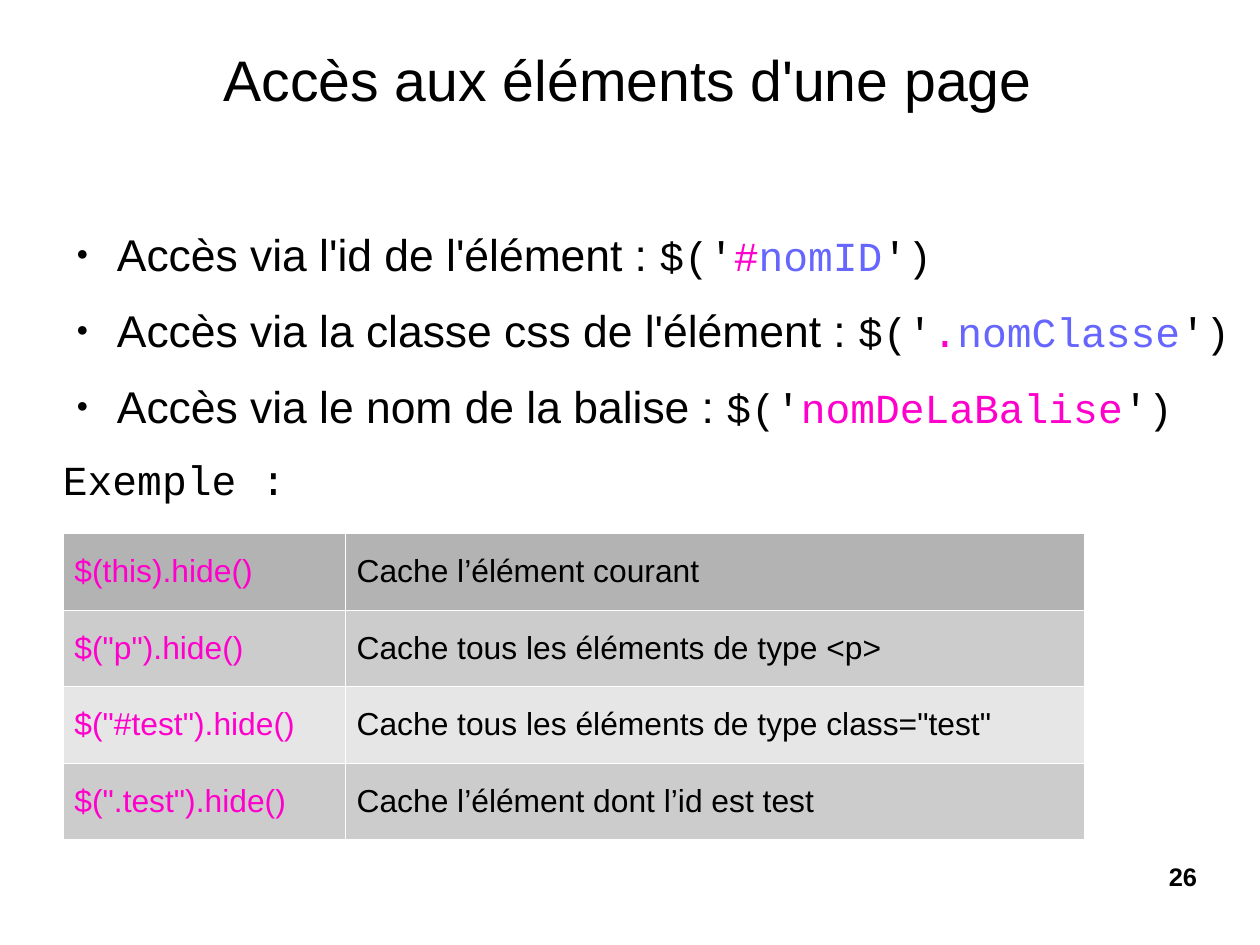
from lxml import etree
from pptx import Presentation
from pptx import util as u
from pptx.dml.color import RGBColor
from pptx.enum import text
from pptx.oxml import ns

BLACK = RGBColor(0, 0, 0)
PINK = RGBColor(0xFF, 0x00, 0xCC)
BLUE = RGBColor(0x66, 0x66, 0xFF)
HEADER = RGBColor(0xB3, 0xB3, 0xB3)
DARK_BAND = RGBColor(0xCC, 0xCC, 0xCC)
LIGHT_BAND = RGBColor(0xE6, 0xE6, 0xE6)
SANS, MONO = "Arial", "Courier New"

# Each selector: description, then the coloured parts inside $('...')
SELECTORS = [
    ("Accès via l'id de l'élément\u00a0: ", [("#", PINK), ("nomID", BLUE)]),
    ("Accès via la classe css de l'élément\u00a0: ", [(".", PINK), ("nomClasse", BLUE)]),
    ("Accès via le nom de la balise\u00a0: ", [("nomDeLaBalise", PINK)]),
]
EXAMPLES = [
    ("$(this).hide()", "Cache l’élément courant"),
    ('$("p").hide()', "Cache tous les éléments de type <p>"),
    ('$("#test").hide()', 'Cache tous les éléments de type class="test"'),
    ('$(".test").hide()', "Cache l’élément dont l’id est test"),
]


def set_font(font, name, size, color=BLACK, bold=False):
    font.name, font.size, font.bold = name, u.Pt(size), bold
    font.color.rgb = color


def no_margins(tf):
    tf.margin_left = tf.margin_top = tf.margin_right = tf.margin_bottom = 0
    tf.word_wrap = True


def add_run(p, words, name, size, color=BLACK):
    r = p.add_run()
    r.text = words
    set_font(r.font, name, size, color)


def sub(parent, tag, **attrs):
    return etree.SubElement(parent, ns.qn(tag), attrs)


def set_bullet(p):
    pPr = p._p.get_or_add_pPr()
    pPr.set("marL", str(u.Cm(1.2)))
    pPr.set("indent", str(u.Cm(-0.9)))
    sub(sub(pPr, "a:buClr"), "a:srgbClr", val=str(BLACK))
    sub(pPr, "a:buSzPct", val="45000")
    sub(pPr, "a:buFont", typeface=SANS)
    sub(pPr, "a:buChar", char="●")


def set_borders(cell):
    tcPr = cell._tc.get_or_add_tcPr()
    for side in ("a:lnL", "a:lnR", "a:lnT", "a:lnB"):
        ln = sub(tcPr, side, w="762")
        sub(sub(ln, "a:solidFill"), "a:srgbClr", val="FFFFFF")


def add_title(s, x, y, w, h):
    sp = s.shapes.title
    sp.left, sp.top, sp.width, sp.height = x, y, w, h
    tf = sp.text_frame
    tf.text = "Accès aux éléments d'une page"
    no_margins(tf)
    tf.auto_size = text.MSO_AUTO_SIZE.NONE
    tf.vertical_anchor = text.MSO_ANCHOR.MIDDLE
    p = tf.paragraphs[0]
    p.alignment = text.PP_ALIGN.CENTER
    p._p.get_or_add_pPr().set("marL", str(u.Cm(1.2)))
    set_font(p.font, SANS, 36)


def add_selectors(s, x, y, w, h):
    tf = s.shapes.add_textbox(x, y, w, h).text_frame
    no_margins(tf)
    p = tf.paragraphs[0]
    for description, parts in SELECTORS:
        p.space_after = u.Pt(14.1)
        set_bullet(p)
        add_run(p, description, SANS, 28)
        for words, color in [("$('", BLACK), *parts, ("')", BLACK)]:
            add_run(p, words, MONO, 26, color)
        p = tf.add_paragraph()
    # Unbulleted line introducing the table
    p.text = "Exemple\u00a0:"
    p.space_after = u.Pt(14.1)
    set_font(p.font, MONO, 26)


def add_examples(s, x, y, w, h):
    table = s.shapes.add_table(len(EXAMPLES), 2, x, y, w, h).table
    table.columns[0].width = u.Cm(6.27)
    table.columns[1].width = w - u.Cm(6.27)
    for i, row in enumerate(EXAMPLES):
        fill = HEADER if i == 0 else (DARK_BAND if i % 2 else LIGHT_BAND)
        for j, (words, color) in enumerate(zip(row, (PINK, BLACK))):
            cell = table.cell(i, j)
            set_borders(cell)
            cell.fill.solid()
            cell.fill.fore_color.rgb = fill
            cell.vertical_anchor = text.MSO_ANCHOR.MIDDLE
            cell.text = words
            set_font(cell.text_frame.paragraphs[0].font, SANS, 20, color)


def add_page_number(s, x, y, w, h):
    tf = s.shapes.add_textbox(x, y, w, h).text_frame
    no_margins(tf)
    p = tf.paragraphs[0]
    p.text = "26"
    p.alignment = text.PP_ALIGN.RIGHT
    set_font(p.font, SANS, 16, bold=True)


def main():
    prs = Presentation()
    prs.slide_width, prs.slide_height = u.Cm(28), u.Cm(21)
    s = prs.slides.add_slide(prs.slide_layouts[5])
    left = u.Cm(1.4)
    add_title(s, u.Cm(3.5), u.Cm(0.5), u.Cm(19.7), u.Cm(2.5))
    add_selectors(s, left, u.Cm(5.05), prs.slide_width - left, u.Cm(6.43))
    add_examples(s, left, u.Cm(11.85), u.Cm(22.7), u.Cm(6.8))
    add_page_number(s, u.Cm(20.07), u.Cm(19.13), u.Cm(6.53), u.Cm(1.45))
    prs.save("out.pptx")


if __name__ == "__main__":
    main()
